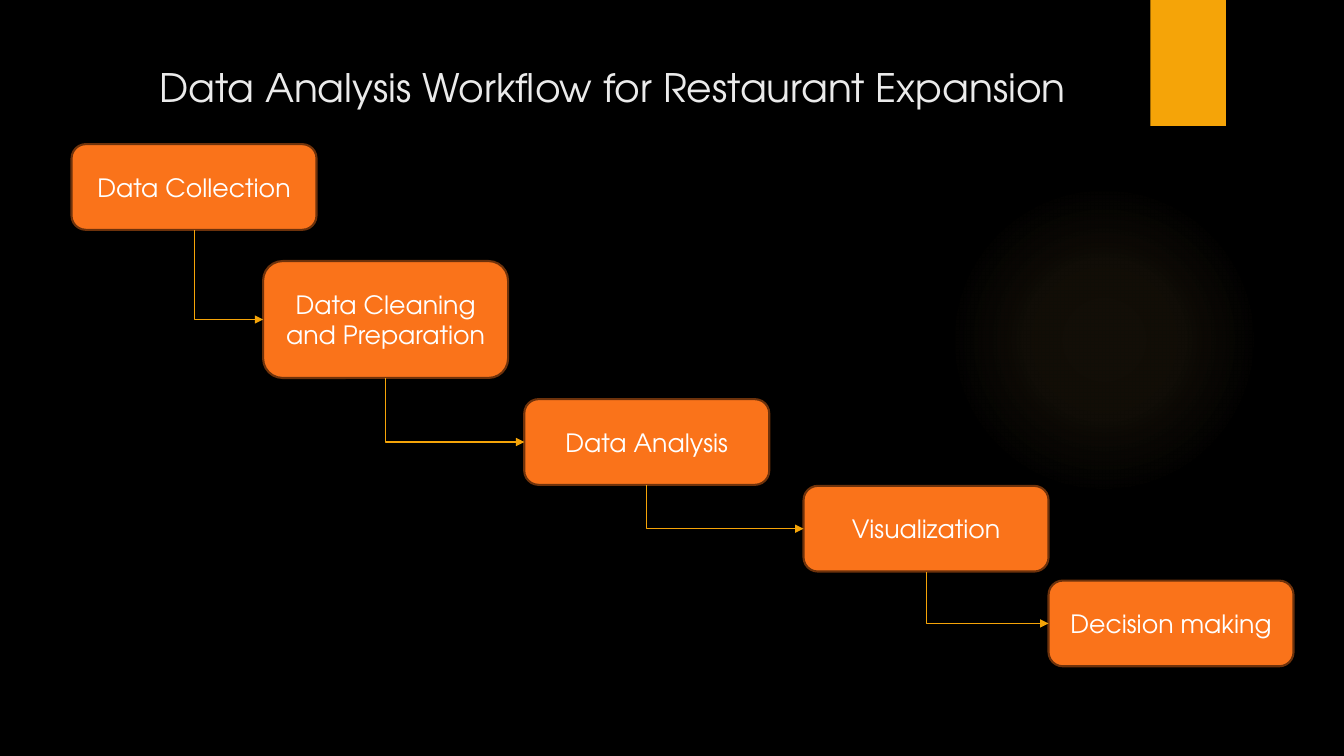
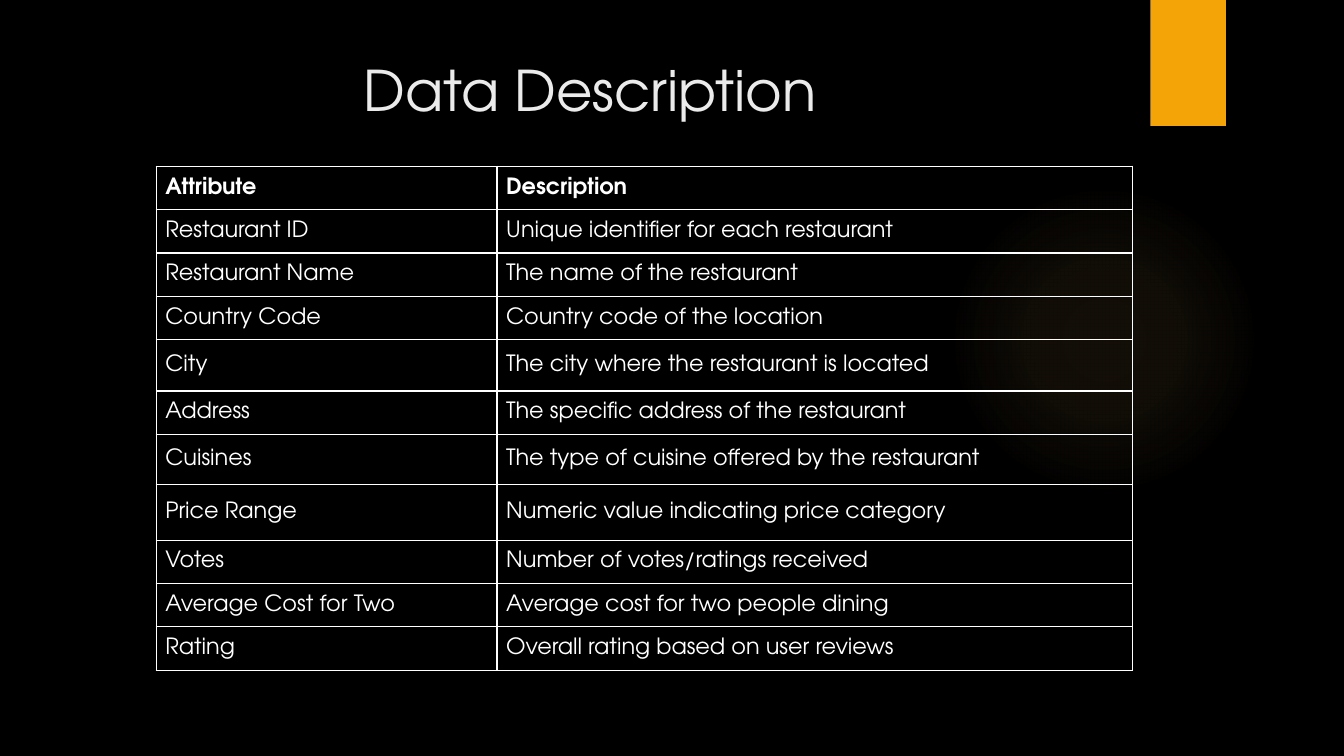
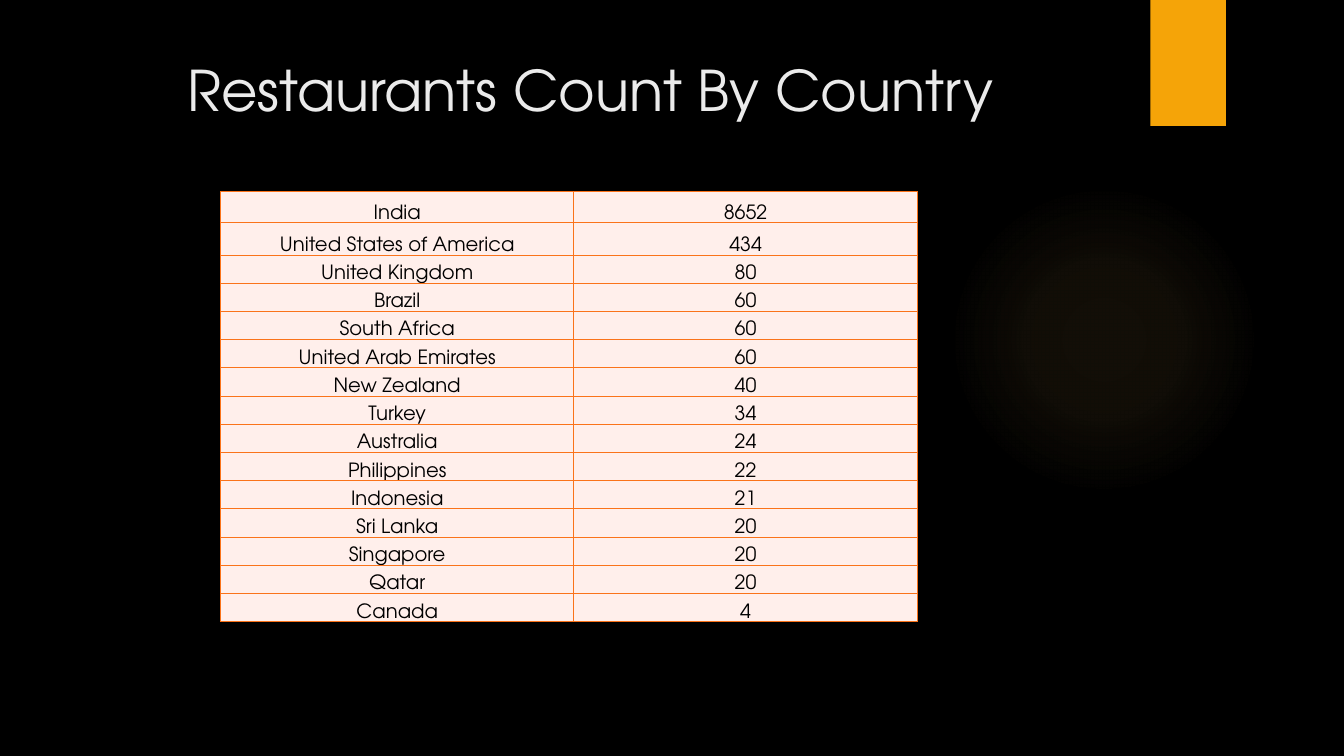
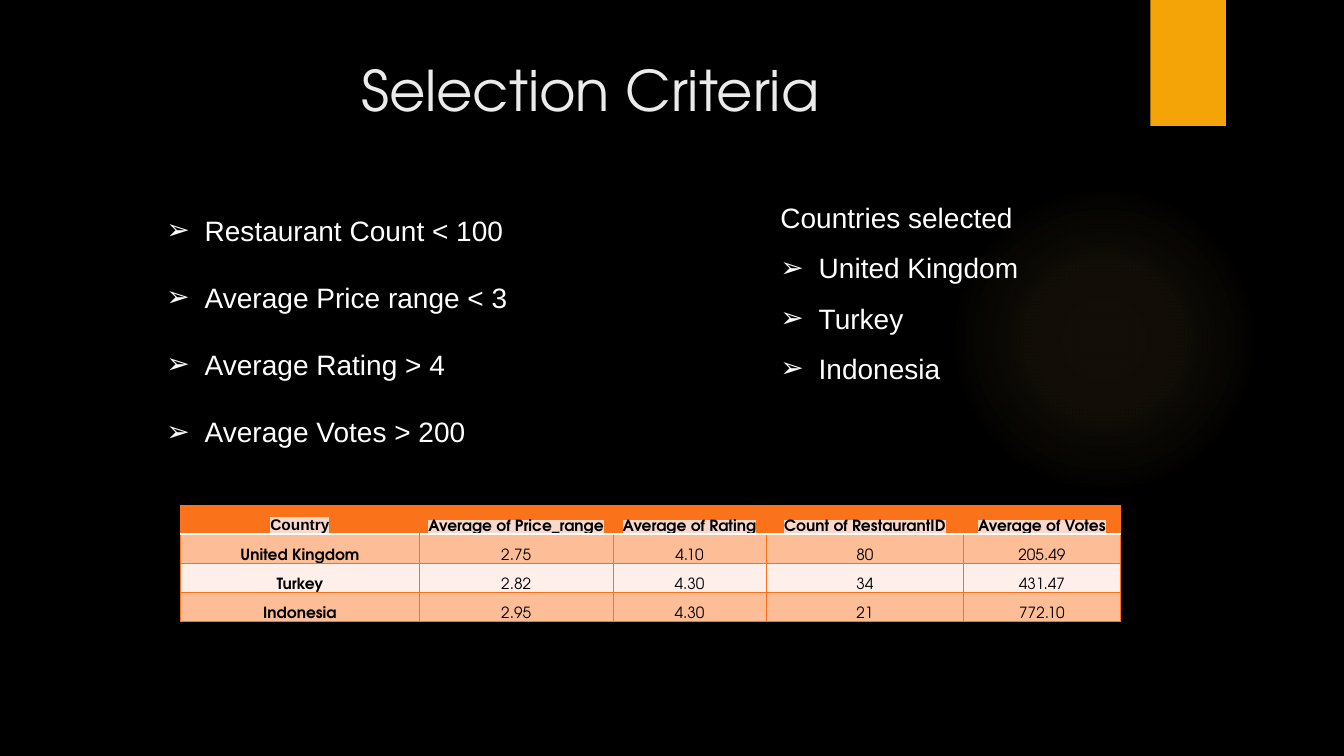
import pptx
import pptx.dml.color
import pptx.enum.shapes
import pptx.enum.text
import pptx.oxml
import pptx.oxml.ns
import pptx.util

Inches = pptx.util.Inches
Pt = pptx.util.Pt
RGBColor = pptx.dml.color.RGBColor
SHAPE = pptx.enum.shapes.MSO_SHAPE
ANCHOR = pptx.enum.text.MSO_ANCHOR
ALIGN = pptx.enum.text.PP_ALIGN
qn = pptx.oxml.ns.qn
SubElement = pptx.oxml.parse_xml

BLACK = RGBColor(0x00, 0x00, 0x00)
WHITE = RGBColor(0xFF, 0xFF, 0xFF)
TITLE_GREY = RGBColor(0xEB, 0xEB, 0xEB)
AMBER = RGBColor(0xF5, 0xA4, 0x08)
GLOW = RGBColor(0xFA, 0xC9, 0x6A)
ORANGE = RGBColor(0xFA, 0x73, 0x1A)
BROWN = RGBColor(0x6E, 0x32, 0x0B)
PALE = RGBColor(0xFF, 0xEF, 0xEB)
PEACH = RGBColor(0xFD, 0xBD, 0x97)
HIGHLIGHT = RGBColor(0xFA, 0xD9, 0xCD)
FONT = "TeX Gyre Adventor"
LIST_FONT = "Arial"
NAMESPACE = pptx.oxml.ns.nsdecls("a")

STEP_WIDTH = 2.43
WORKFLOW = [  # label, left, top, height
    ("Data Collection", 0.71, 1.43, 0.85),
    ("Data Cleaning and Preparation", 2.61, 2.59, 1.16),
    ("Data Analysis", 5.2, 3.96, 0.85),
    ("Visualization", 7.97, 4.82, 0.85),
    ("Decision making", 10.4, 5.76, 0.85),
]
ATTRIBUTES = [
    ("Attribute", "Description"),
    ("Restaurant ID", "Unique identifier for each restaurant"),
    ("Restaurant Name", "The name of the restaurant"),
    ("Country Code", "Country code of the location"),
    ("City", "The city where the restaurant is located"),
    ("Address", "The specific address of the restaurant"),
    ("Cuisines", "The type of cuisine offered by the restaurant"),
    ("Price Range", "Numeric value indicating price category"),
    ("Votes", "Number of votes/ratings received"),
    ("Average Cost for Two", "Average cost for two people dining"),
    ("Rating", "Overall rating based on user reviews"),
]
ATTRIBUTE_HEIGHTS = [0.43] * 4 + [0.51, 0.43, 0.5, 0.55] + [0.43] * 3
COUNTRIES = [
    ("India", "8652"), ("United States of America", "434"),
    ("United Kingdom", "80"), ("Brazil", "60"), ("South Africa", "60"),
    ("United Arab Emirates", "60"), ("New Zealand", "40"), ("Turkey", "34"),
    ("Australia", "24"), ("Philippines", "22"), ("Indonesia", "21"),
    ("Sri Lanka", "20"), ("Singapore", "20"), ("Qatar", "20"), ("Canada", "4"),
]
COUNTRY_HEIGHTS = [0.31, 0.32] + [0.28] * 13
SELECTION = [
    ("Country", "Average of Price_range", "Average of Rating",
     "Count of RestaurantID", "Average of Votes"),
    ("United Kingdom", "2.75", "4.10", "80", "205.49"),
    ("Turkey", "2.82", "4.30", "34", "431.47"),
    ("Indonesia", "2.95", "4.30", "21", "772.10"),
]
CRITERIA = ["Restaurant Count < 100", "Average Price range < 3",
            "Average Rating > 4", "Average Votes > 200"]
SELECTED_HEADING = "Countries selected"
SELECTED = ["United Kingdom", "Turkey", "Indonesia"]


def place(shape, left, top, width, height):
    shape.left, shape.top = Inches(left), Inches(top)
    shape.width, shape.height = Inches(width), Inches(height)


def add_run(paragraph, text, size, color, font=FONT, bold=False):
    run = paragraph.add_run()
    run.text = text
    run.font.size = Pt(size)
    run.font.name = font
    run.font.bold = bold
    run.font.color.rgb = color
    return run


def style_master(presentation):
    """Give every slide its black background and its title style."""
    master = presentation.slide_master
    master.background.fill.solid()
    master.background.fill.fore_color.rgb = BLACK
    title = next(shape for shape in master.placeholders
                 if shape.placeholder_format.type == pptx.enum.shapes.PP_PLACEHOLDER.TITLE)
    place(title, 0.71, 0.5, 10.29, 0.77)
    title.text_frame.vertical_anchor = ANCHOR.TOP
    title.text_frame.auto_size = pptx.enum.text.MSO_AUTO_SIZE.NONE
    defaults = master.element.find(
        "/".join(qn(tag) for tag in ("p:txStyles", "p:titleStyle", "a:lvl1pPr", "a:defRPr")))
    defaults.set("sz", "4000")
    for child in list(defaults):
        defaults.remove(child)
    for xml in (f'<a:solidFill {NAMESPACE}><a:srgbClr val="{TITLE_GREY}"/></a:solidFill>',
                f'<a:latin {NAMESPACE} typeface="{FONT}"/>'):
        defaults.append(pptx.oxml.parse_xml(xml))


def decorate_master(presentation, slide):
    """Draw the glow and the band on a slide and move them to the master."""
    glow = slide.shapes.add_shape(SHAPE.OVAL, Inches(9.41), Inches(1.83),
                                  Inches(3.08), Inches(3.08))
    stops = "".join(
        f'<a:gs pos="{position}000"><a:srgbClr val="{GLOW}"><a:alpha val="{alpha}000"/>'
        "</a:srgbClr></a:gs>" for position, alpha in ((0, 7), (36, 6), (69, 0)))
    gradient = pptx.oxml.parse_xml(
        f'<a:gradFill {NAMESPACE}><a:gsLst>{stops}</a:gsLst><a:path path="circle">'
        '<a:fillToRect l="50000" t="50000" r="50000" b="50000"/></a:path></a:gradFill>')
    glow.element.spPr.find(qn("a:prstGeom")).addnext(gradient)
    band = slide.shapes.add_shape(SHAPE.RECTANGLE, Inches(11.41), 0,
                                  Inches(0.75), Inches(1.25))
    band.fill.solid()
    band.fill.fore_color.rgb = AMBER
    tree = presentation.slide_master.shapes.element
    for index, shape in enumerate((glow, band)):
        shape.shadow.inherit = False
        shape.line.fill.background()
        shape.element.nvSpPr.cNvPr.set("id", str(101 + index))
        tree.insert(2 + index, shape.element)


def add_slide(presentation, title, layout="Title Only"):
    slide = presentation.slides.add_slide(presentation.slide_layouts.get_by_name(layout))
    paragraph = slide.shapes.title.text_frame.paragraphs[0]
    paragraph.alignment = ALIGN.CENTER
    paragraph.add_run().text = title
    return slide


def add_step(slide, label, left, top, height):
    box = slide.shapes.add_shape(SHAPE.ROUNDED_RECTANGLE, Inches(left), Inches(top),
                                 Inches(STEP_WIDTH), Inches(height))
    box.shadow.inherit = False
    box.fill.solid()
    box.fill.fore_color.rgb = ORANGE
    box.line.color.rgb = BROWN
    box.line.width = Pt(1.5)
    box.text_frame.word_wrap = True
    box.text_frame.vertical_anchor = ANCHOR.MIDDLE
    paragraph = box.text_frame.paragraphs[0]
    paragraph.alignment = ALIGN.CENTER
    add_run(paragraph, label, 18, WHITE)
    return box


def join_steps(slide, start, end):
    """Lead an arrow down from one step, then right into the next."""
    x, y = start.left + start.width // 2, start.top + start.height
    across, down = end.left - x, end.top + end.height // 2 - y
    arrow = slide.shapes.add_connector(pptx.enum.shapes.MSO_CONNECTOR.ELBOW,
                                       x, y, x + across, y + down)
    arrow.begin_connect(start, 2)
    arrow.end_connect(end, 1)
    # A one-bend connector runs right then down, so it is turned and flipped.
    arrow.left, arrow.top = x + (across - down) // 2, y + (down - across) // 2
    arrow.width, arrow.height = down, across
    properties = arrow.element.spPr
    properties.find(qn("a:xfrm")).set("rot", str(270 * 60000))
    properties.find(qn("a:xfrm")).set("flipH", "1")
    properties.find(qn("a:prstGeom")).set("prst", "bentConnector2")
    arrow.line.color.rgb = AMBER
    arrow.line.width = Pt(0.75)
    properties.find(qn("a:ln")).append(
        pptx.oxml.parse_xml(f'<a:tailEnd {NAMESPACE} type="triangle"/>'))
    properties.append(pptx.oxml.parse_xml(f"<a:effectLst {NAMESPACE}/>"))


def set_borders(cell, borders):
    """Draw the sides L, R, T and B, each given as (colour, points)."""
    properties = cell._tc.get_or_add_tcPr()
    for side in "LRTB":
        color, width = borders[side]
        properties.append(pptx.oxml.parse_xml(
            f'<a:ln{side} {NAMESPACE} w="{Pt(width)}"><a:solidFill>'
            f'<a:srgbClr val="{color}"/></a:solidFill></a:ln{side}>'))


def add_table(slide, left, top, widths, heights, rows, style_cell):
    """Add a table; style_cell(row, column) gives the look of one cell."""
    frame = slide.shapes.add_table(len(rows), len(widths), Inches(left), Inches(top),
                                   Inches(sum(widths)), Inches(sum(heights)))
    table = frame.table
    table.first_row = table.horz_banding = False
    for column, width in zip(table.columns, widths):
        column.width = Inches(width)
    for row_index, (row, height) in enumerate(zip(rows, heights)):
        table.rows[row_index].height = Inches(height)
        for column_index, text in enumerate(row):
            look = style_cell(row_index, column_index)
            cell = table.cell(row_index, column_index)
            set_borders(cell, dict.fromkeys("LRTB", look["border"]) | look.get("sides", {}))
            if "fill" in look:
                cell.fill.solid()
                cell.fill.fore_color.rgb = look["fill"]
            else:
                cell.fill.background()
            cell.vertical_anchor = look["anchor"]
            (cell.margin_left, cell.margin_top, cell.margin_right,
             cell.margin_bottom) = map(Inches, look["insets"])
            paragraph = cell.text_frame.paragraphs[0]
            paragraph.alignment = look["align"]
            if "spacing" in look:
                paragraph.line_spacing = look["spacing"]
            run = add_run(paragraph, text, look["size"], look["color"],
                          look.get("font", FONT), look.get("bold", False))
            if "highlight" in look:
                run.font._element.find(qn("a:latin")).addprevious(pptx.oxml.parse_xml(
                    f'<a:highlight {NAMESPACE}><a:srgbClr val="{look["highlight"]}"/>'
                    "</a:highlight>"))


def attribute_cell(row, column):
    return dict(border=(WHITE, 1), anchor=ANCHOR.MIDDLE, insets=(0.09, 0.04, 0.09, 0.04),
                align=ALIGN.LEFT, size=16, color=WHITE, bold=row == 0)


def country_cell(row, column):
    return dict(border=(ORANGE, 0.75), fill=PALE, anchor=ANCHOR.BOTTOM,
                insets=(0.01, 0.01, 0.01, 0), align=ALIGN.CENTER, size=14, color=BLACK)


def selection_cell(row, column):
    look = dict(border=(ORANGE, 0.75), anchor=ANCHOR.BOTTOM, insets=(0.07, 0, 0.07, 0),
                align=ALIGN.CENTER, spacing=1.15, size=11, color=BLACK,
                bold=row == 0 or column == 0)
    sides = {}
    if row == 0:
        look.update(fill=ORANGE, highlight=HIGHLIGHT)
        sides["B"] = (WHITE, 1.5)
        if column == 0:
            look["font"] = LIST_FONT
    else:
        look["fill"] = PEACH if row % 2 else PALE
        if row == 1 and column > 0:
            sides["T"] = (WHITE, 1.5)
        if column < 2:
            sides["L" if column else "R"] = (ORANGE, 1.5)
    return look | {"sides": sides}


def fill_list(placeholder, area, items, spacing, heading=None):
    """Write an arrow-bulleted list, with an optional plain line above it."""
    place(placeholder, *area)
    frame = placeholder.text_frame
    frame.auto_size = pptx.enum.text.MSO_AUTO_SIZE.NONE
    lines = ([(heading, False)] if heading else []) + [(item, True) for item in items]
    for index, (text, bulleted) in enumerate(lines):
        paragraph = frame.add_paragraph() if index else frame.paragraphs[0]
        paragraph.line_spacing = spacing
        paragraph.space_before = Pt(0)
        indent = Inches(0.38) if bulleted else 0
        properties = paragraph._p.get_or_add_pPr()
        properties.set("marL", str(indent))
        properties.set("indent", str(-indent))
        bullet = 'buChar {} char="➢"' if bulleted else "buNone {}"
        properties.append(pptx.oxml.parse_xml(f"<a:{bullet.format(NAMESPACE)}/>"))
        add_run(paragraph, text, 20, WHITE, LIST_FONT)


def main():
    presentation = pptx.Presentation()
    presentation.slide_width, presentation.slide_height = Inches(13.33), Inches(7.5)
    style_master(presentation)

    slide = add_slide(presentation, "Data Analysis Workflow for Restaurant Expansion")
    decorate_master(presentation, slide)
    place(slide.shapes.title, 0.93, 0.58, 10.29, 0.77)
    slide.shapes.title.text_frame.paragraphs[0].runs[0].font.size = Pt(28)
    steps = [add_step(slide, *step) for step in WORKFLOW]
    for start, end in zip(steps, steps[1:]):
        join_steps(slide, start, end)

    slide = add_slide(presentation, "Data Description")
    add_table(slide, 1.55, 1.65, [3.38, 6.3], ATTRIBUTE_HEIGHTS, ATTRIBUTES, attribute_cell)

    slide = add_slide(presentation, "Restaurants Count By Country")
    add_table(slide, 2.19, 1.9, [3.5, 3.41], COUNTRY_HEIGHTS, COUNTRIES, country_cell)

    slide = add_slide(presentation, "Selection Criteria", "Two Content")
    add_table(slide, 1.79, 5.01, [2.37, 1.92, 1.52, 1.96, 1.55], [0.29] * 4,
              SELECTION, selection_cell)
    criteria, selected = list(slide.placeholders)[1:]
    fill_list(criteria, (1.55, 1.73, 4.59, 2.69), CRITERIA, 2.0)
    fill_list(selected, (7.64, 1.77, 3.47, 2.06), SELECTED, 1.5, SELECTED_HEADING)

    presentation.save("out.pptx")


if __name__ == "__main__":
    main()
